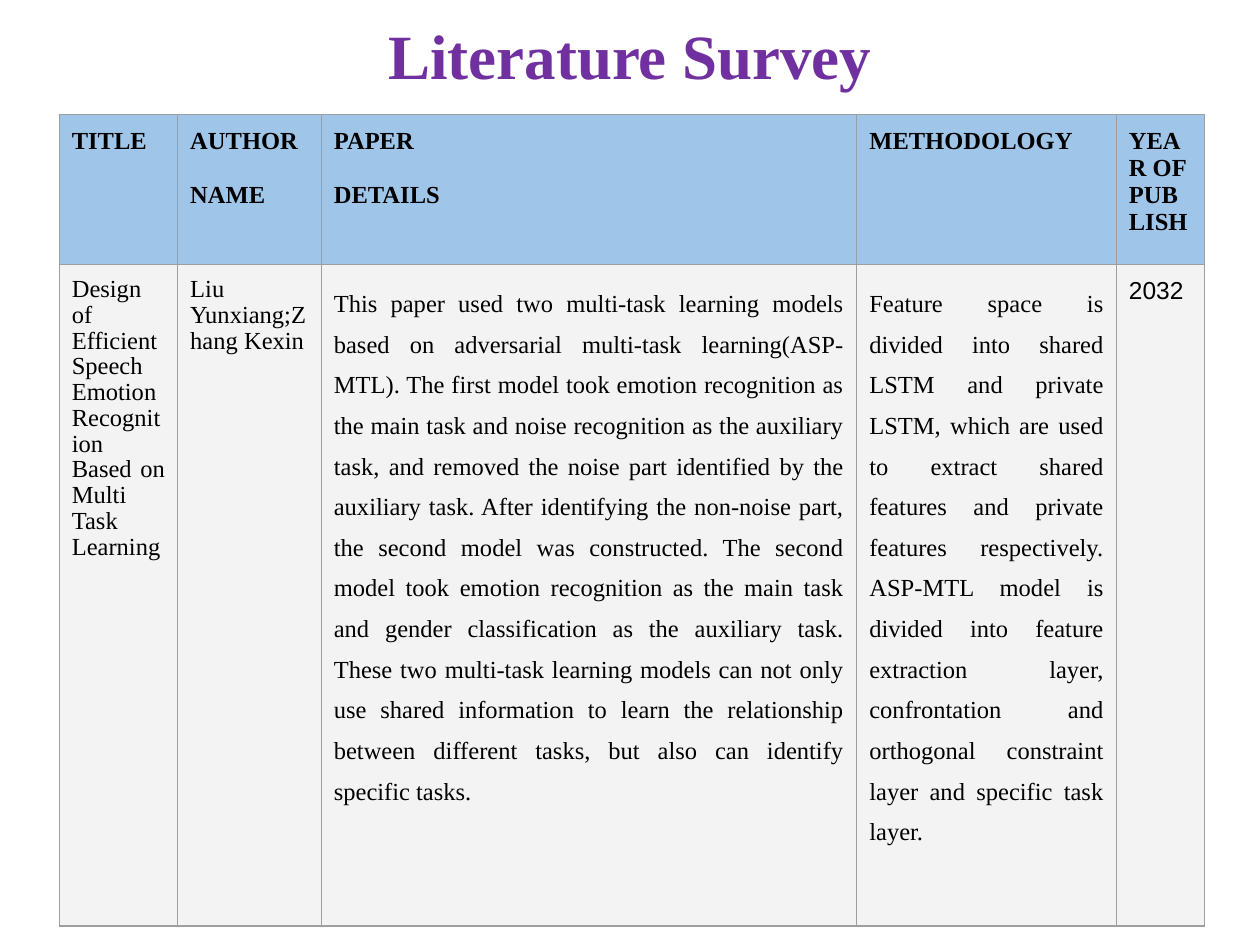
from dataclasses import dataclass

from lxml import etree
from pptx import Presentation
from pptx.dml.color import RGBColor
from pptx.enum import text
from pptx.oxml import ns
from pptx.util import Inches, Pt

COLORS = {
    "title": "7030A0",
    "text": "000000",
    "header": "9FC5E8",
    "body": "F3F3F3",
    "border": "9E9E9E",
}
SERIF = "Times New Roman"
JUSTIFY = text.PP_ALIGN.JUSTIFY


@dataclass
class Column:
    width: float
    heading: str
    body: str
    spacing: float | None = None
    align: text.PP_ALIGN | None = JUSTIFY
    font: str = SERIF


COLUMNS = [
    Column(0.94, "TITLE",
           "Design of Efficient Speech Emotion Recognition Based on Multi Task Learning", 0.95),
    Column(1.14, "AUTHOR\nNAME", "Liu Yunxiang;Zhang Kexin", 0.95),
    Column(4.25, "PAPER\nDETAILS",
           "This paper used two multi-task learning models based on adversarial multi-task "
           "learning(ASP-MTL). The first model took emotion recognition as the main task and "
           "noise recognition as the auxiliary task, and removed the noise part identified by "
           "the auxiliary task. After identifying the non-noise part, the second model was "
           "constructed. The second model took emotion recognition as the main task and gender "
           "classification as the auxiliary task. These two multi-task learning models can not "
           "only use shared information to learn the relationship between different tasks, but "
           "also can identify specific tasks.", 1.5),
    Column(2.06, "METHODOLOGY",
           "Feature space is divided into shared LSTM and private LSTM, which are used to "
           "extract shared features and private features respectively. ASP-MTL model is divided "
           "into feature extraction layer, confrontation and orthogonal constraint layer and "
           "specific task layer.", 1.5),
    Column(0.7, "YEAR OF PUBLISH", "2032", align=None, font="Arial"),
]
ROW_HEIGHTS = [1.19, 5.25]


def style_font(font, name: str, size: float, color: str, bold: bool) -> None:
    font.name, font.size, font.bold = name, Pt(size), bold
    font.color.rgb = RGBColor.from_string(COLORS[color])


def add_borders(cell) -> None:
    """Draw a thin line on all four sides of the cell."""
    tc_pr = cell._tc.get_or_add_tcPr()
    for i, side in enumerate(("lnL", "lnR", "lnT", "lnB")):
        ln = etree.Element(ns.qn(f"a:{side}"), w=str(Pt(0.75)))
        fill = etree.SubElement(ln, ns.qn("a:solidFill"))
        etree.SubElement(fill, ns.qn("a:srgbClr"), val=COLORS["border"])
        tc_pr.insert(i, ln)


def fill_cell(cell, content: str, fill: str, font: str = SERIF, bold: bool = False,
              align: text.PP_ALIGN | None = None, spacing: float | None = None) -> None:
    cell.margin_left = cell.margin_right = Inches(0.1)
    cell.margin_top = cell.margin_bottom = Inches(0.1)
    cell.fill.solid()
    cell.fill.fore_color.rgb = RGBColor.from_string(COLORS[fill])
    add_borders(cell)
    cell.text_frame.text = content
    for i, p in enumerate(cell.text_frame.paragraphs):
        p.alignment = align
        p.line_spacing = spacing
        if i:
            p.space_before = Pt(15.5)
        for r in p.runs:
            style_font(r.font, font, 14, "text", bold)


def add_title(s, title: str) -> None:
    sp = s.shapes.add_textbox(Inches(0.69), Inches(0.18), Inches(8.62), Inches(0.58))
    tf = sp.text_frame
    tf.word_wrap = True
    tf.vertical_anchor = text.MSO_ANCHOR.MIDDLE
    tf.text = title
    p = tf.paragraphs[0]
    p.alignment = text.PP_ALIGN.CENTER
    p.line_spacing = 0.9
    style_font(p.runs[0].font, SERIF, 36, "title", True)


def add_survey_table(s, columns: list[Column]) -> None:
    width = sum(c.width for c in columns)
    table = s.shapes.add_table(len(ROW_HEIGHTS), len(columns), Inches(0.47), Inches(0.91),
                               Inches(width), Inches(sum(ROW_HEIGHTS))).table
    for row, height in zip(table.rows, ROW_HEIGHTS):
        row.height = Inches(height)
    for i, c in enumerate(columns):
        table.columns[i].width = Inches(c.width)
        fill_cell(table.cell(0, i), c.heading, "header", bold=True)
        fill_cell(table.cell(1, i), c.body, "body", c.font, align=c.align, spacing=c.spacing)


def main() -> None:
    prs = Presentation()
    prs.slide_width, prs.slide_height = Inches(10), Inches(7.5)
    s = prs.slides.add_slide(prs.slide_layouts[6])
    add_title(s, "Literature Survey")
    add_survey_table(s, COLUMNS)
    prs.save("out.pptx")


if __name__ == "__main__":
    main()
